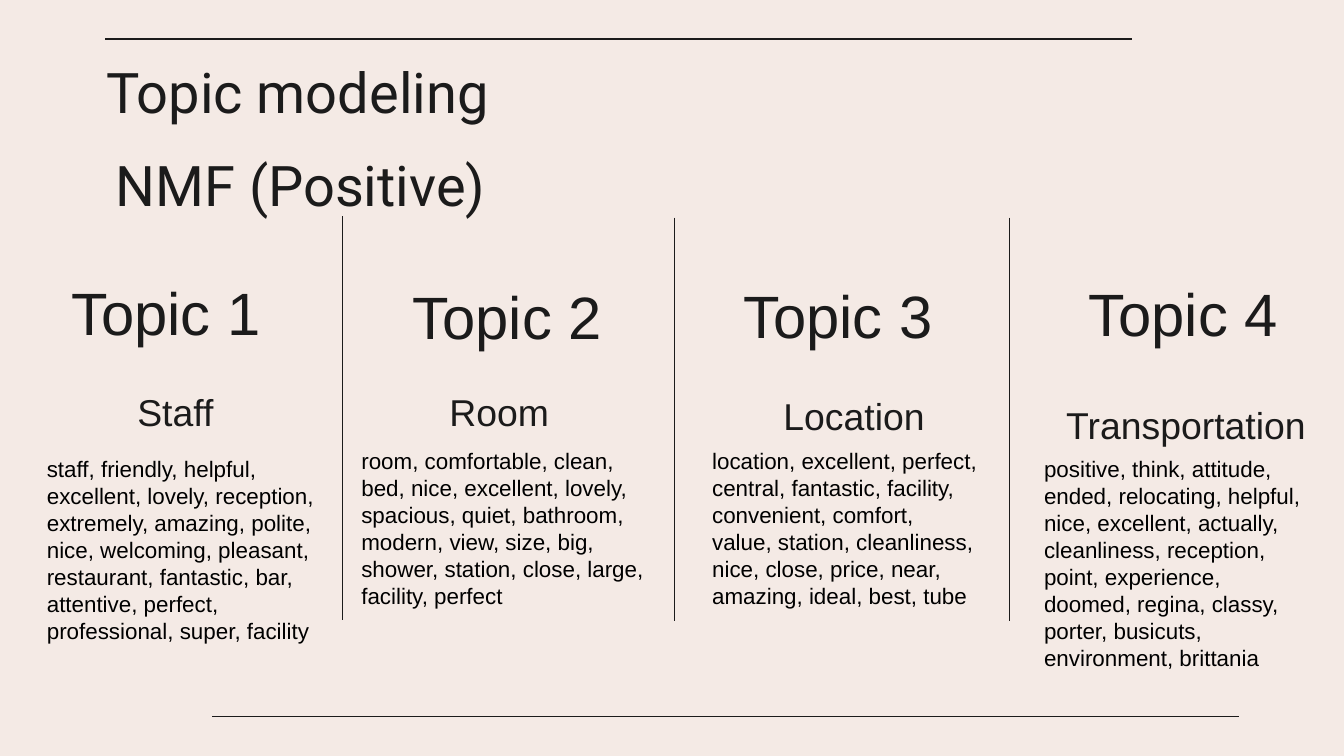
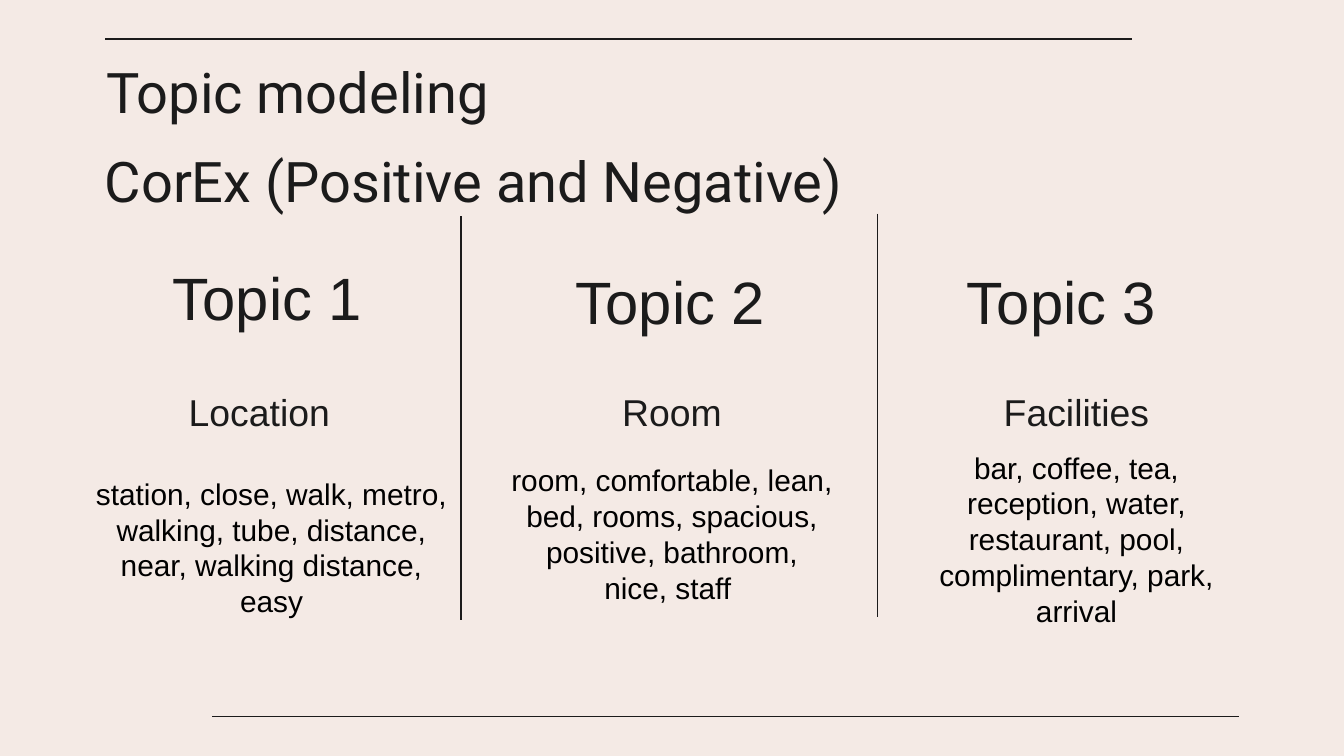
from pptx import Presentation
from pptx.dml.color import RGBColor
from pptx.enum.shapes import MSO_CONNECTOR
from pptx.enum.text import MSO_ANCHOR, PP_ALIGN
from pptx.oxml.ns import qn
from pptx.util import Inches, Pt
from lxml import etree

LINE = MSO_CONNECTOR.STRAIGHT
TOP, MIDDLE = MSO_ANCHOR.TOP, MSO_ANCHOR.MIDDLE
LEFT, CENTER = PP_ALIGN.LEFT, PP_ALIGN.CENTER

COLORS = {"background": "F4EAE5", "ink": "1B1B1B", "words": "000000"}
TITLE_FONT, BODY_FONT = "Roboto", "Arial"
DIVIDER_H = 3
HEADING_H, LABEL_H, TITLE_H = 1.2, 0.5, 0.5

# Each column: heading, its box, label, its box, words, their box.
# Boxes are (left, top, width) for headings and labels, with height for words.
NMF_COLUMNS = [
    ("Topic 1", (0.08, 1.72, 2.31), "Staff", (0.15, 2.81, 2.31),
     "staff, friendly, helpful, excellent, lovely, reception, extremely, "
     "amazing, polite, nice, welcoming, pleasant, restaurant, fantastic, bar, "
     "attentive, perfect, professional, super, facility",
     (0.25, 3.34, 2.19, 1.72)),
    ("Topic 2", (2.62, 1.75, 2.31), "Room", (2.56, 2.81, 2.31),
     "room, comfortable, clean, bed, nice, excellent, lovely, spacious, quiet, "
     "bathroom, modern, view, size, big, shower, station, close, large, "
     "facility, perfect",
     (2.59, 3.28, 2.31, 1.31)),
    ("Topic 3", (5.08, 1.74, 2.31), "Location", (5.2, 2.84, 2.31),
     "location, excellent, perfect, central, fantastic, facility, convenient, "
     "comfort, value, station, cleanliness, nice, close, price, near, amazing, "
     "ideal, best, tube",
     (5.2, 3.28, 2.18, 1.31)),
    ("Topic 4", (7.65, 1.73, 2.31), "Transportation", (7.65, 2.91, 2.35),
     "positive, think, attitude, ended, relocating, helpful, nice, excellent, "
     "actually, cleanliness, reception, point, experience, doomed, regina, "
     "classy, porter, busicuts, environment, brittania",
     (7.67, 3.34, 2.16, 1.72)),
]
COREX_COLUMNS = [
    ("Topic 1", (0.79, 1.61, 2.4), "Location", (0.46, 2.81, 2.94),
     "station, close, walk, metro, walking, tube, distance, near, "
     "walking distance, easy",
     (0.65, 3.31, 2.74, 1.52)),
    ("Topic 2", (3.79, 1.64, 2.4), "Room", (3.8, 2.81, 2.4),
     "room, comfortable, lean, bed, rooms, spacious, positive, bathroom, "
     "nice, staff ",
     (3.8, 3.31, 2.4, 1.32)),
    ("Topic 3", (6.7, 1.64, 2.4), "Facilities", (6.81, 2.81, 2.4),
     "bar, coffee, tea, reception, water, restaurant, pool, complimentary, "
     "park, arrival",
     (6.81, 3.31, 2.4, 1.4)),
]


def rgb(name):
    return RGBColor.from_string(COLORS[name])


def add_text(slide, box, text, size, font=BODY_FONT, color="ink",
             align=CENTER, anchor=MIDDLE, insets=(0, 0)):
    """Add one paragraph; insets are (horizontal, vertical) in inches."""
    tf = slide.shapes.add_textbox(*map(Inches, box)).text_frame
    tf.word_wrap = True
    tf.vertical_anchor = anchor
    tf.margin_left = tf.margin_right = Inches(insets[0])
    tf.margin_top = tf.margin_bottom = Inches(insets[1])
    p = tf.paragraphs[0]
    p.text = text
    p.alignment = align
    p.font.size = Pt(size)
    p.font.name = font
    p.font.color.rgb = rgb(color)


def add_line(slide, x1, y1, x2, y2):
    line = slide.shapes.add_connector(LINE, *map(Inches, (x1, y1, x2, y2)))
    line.line.color.rgb = rgb("ink")
    line.line.width = Pt(0.75)
    etree.SubElement(line._element.spPr, qn("a:effectLst"))


def add_frame(prs):
    """Add a slide with the background and the two offset rules."""
    slide = prs.slides.add_slide(prs.slide_layouts[6])
    fill = slide.background.fill
    fill.solid()
    fill.fore_color.rgb = rgb("background")
    add_line(slide, 8.42, 0.29, 0.78, 0.29)
    add_line(slide, 1.58, 5.33, 9.22, 5.33)
    return slide


def add_title(slide, method, left, top):
    for text, x, y in (("Topic modeling", 0.79, 0.43), (method, left, top)):
        add_text(slide, (x, y, 8.43, TITLE_H), text, 30, TITLE_FONT,
                 align=LEFT, anchor=TOP)


def add_column(slide, column, words_style):
    heading, heading_box, label, label_box, words, words_box = column
    add_text(slide, (*heading_box, HEADING_H), heading, 32)
    add_text(slide, (*label_box, LABEL_H), label, 20)
    add_text(slide, words_box, words, color="words", **words_style)


def add_topics_slide(prs, method, method_at, columns, dividers, words_style):
    slide = add_frame(prs)
    add_title(slide, method, *method_at)
    for x, y in dividers:
        add_line(slide, x, y, x, y + DIVIDER_H)
    for column in columns:
        add_column(slide, column, words_style)


def main():
    prs = Presentation()
    prs.slide_width = Inches(10)
    prs.slide_height = prs.slide_width * 9 // 16
    add_topics_slide(
        prs, "NMF (Positive)", (0.86, 1.12), NMF_COLUMNS,
        [(2.55, 1.61), (5.02, 1.62), (7.51, 1.62)],
        {"size": 12, "align": LEFT, "anchor": TOP, "insets": (0.1, 0.05)})
    add_topics_slide(
        prs, "CorEx (Positive and Negative)", (0.78, 1.09), COREX_COLUMNS,
        [(3.43, 1.61), (6.53, 1.59)], {"size": 16})
    prs.save("out.pptx")


if __name__ == "__main__":
    main()
